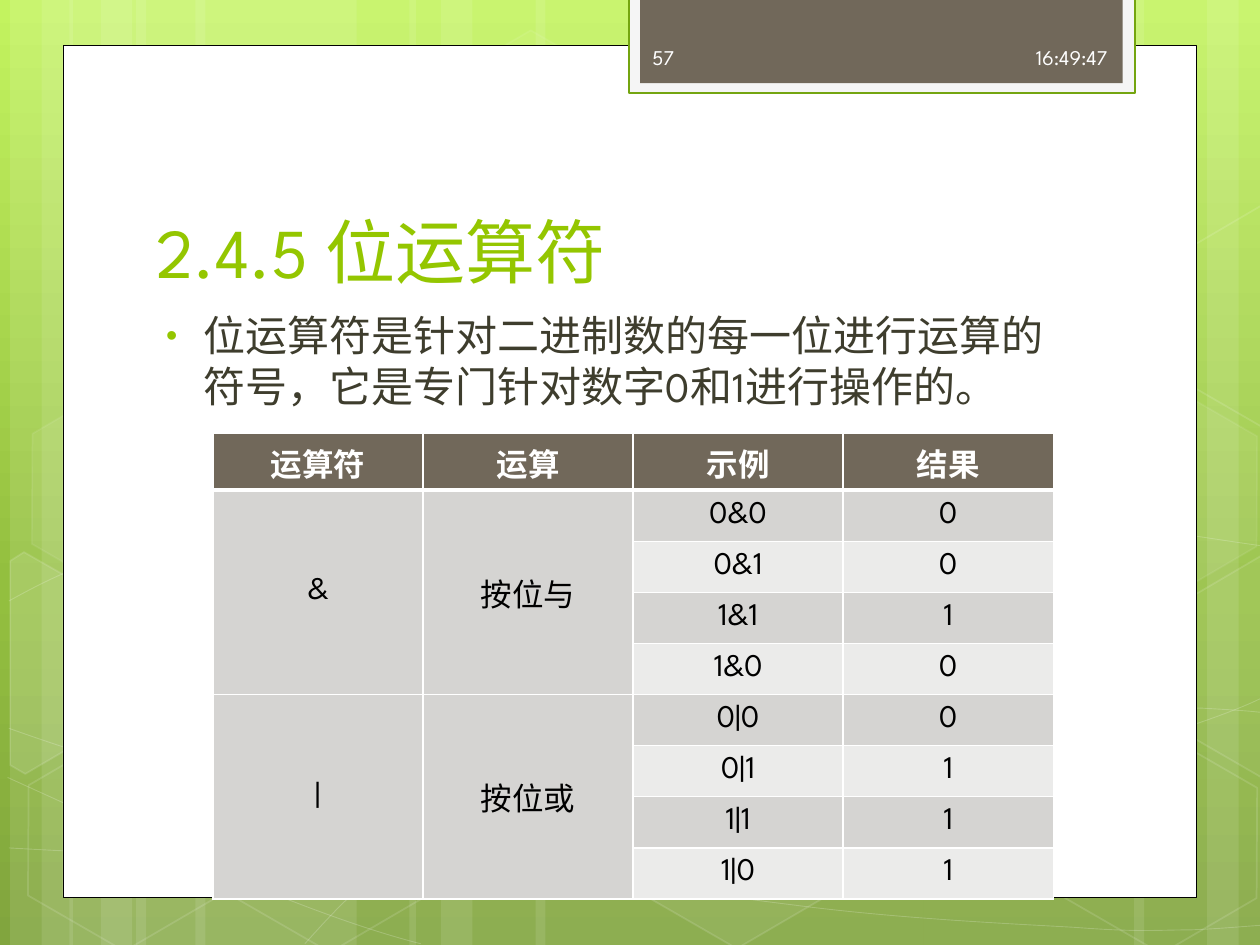
from copy import deepcopy
from math import cos, radians, sin
from lxml.etree import SubElement
from pptx import Presentation
from pptx.dml.color import RGBColor
from pptx.enum.shapes import MSO_SHAPE
from pptx.enum.text import MSO_ANCHOR, PP_ALIGN
from pptx.oxml import parse_xml
from pptx.oxml.ns import nsdecls, qn
from pptx.util import Inches, Pt

FONT = "League Spartan"
WHITE = RGBColor(0xFF, 0xFF, 0xFF)
BLACK = RGBColor(0, 0, 0)
LIME = RGBColor(0x94, 0xC6, 0x00)
OLIVE = RGBColor(0x3E, 0x3D, 0x2D)
TAUPE = RGBColor(0x71, 0x68, 0x5A)
TAB_FRAME = RGBColor(0xF5, 0xF5, 0xF5)
TAB_EDGE = RGBColor(0x74, 0xA5, 0x10)
TAB_TEXT = RGBColor(0xFE, 0xFE, 0xFE)
BANDS = RGBColor(0xD5, 0xD4, 0xD2), RGBColor(0xEB, 0xEB, 0xEA)
SKY = [(0, RGBColor(0xC3, 0xF3, 0x5F)), (0.62, RGBColor(0x93, 0xBF, 0x3F)),
       (1, RGBColor(0x81, 0xA5, 0x3E))]

TITLE = "2.4.5 位运算符"
INTRO = "位运算符是针对二进制数的每一位进行运算的符号，它是专门针对数字0和1进行操作的。"
CLOCK, PAGE = "16:49:47", "57"
HEADER = ["运算符", "运算", "示例", "结果"]
OPERATORS = [
    ("&", "按位与", [("0&0", "0"), ("0&1", "0"), ("1&1", "1"), ("1&0", "0")]),
    ("|", "按位或", [("0|0", "0"), ("0|1", "1"), ("1|1", "1"), ("1|0", "1")]),
]

STRIPES = [(1.08, 1.75, 0), (0.08, 0.5, 0), (0.33, 0.83, 0), (1.55, 1.75, 0),
           (0.55, 0.5, 0), (0.8, 0.83, 0), (7.33, 1.75, 180), (9.58, 0.5, 180),
           (9, 0.83, 180), (4.25, 3.08, 0), (3.25, 0.5, 0), (3.5, 0.83, 0)]
CURVES = [
    ([(0.07, 6.73), (0.61, 6.76), (1.15, 6.79), (1.9, 6.78), (2.65, 6.77), (3.58, 6.75),
      (4.58, 6.65), (5.58, 6.55), (7, 6.36), (7.92, 6.17), (8.83, 5.98), (9.77, 5.68),
      (10.07, 5.51)], None),
    ([(0.07, 4.77), (0.36, 4.61), (0.65, 4.46), (1.21, 4.31), (1.78, 4.16), (2.59, 3.94),
      (3.47, 3.87), (4.36, 3.8), (5.44, 3.79), (6.54, 3.87), (7.64, 3.95), (9.47, 4.26),
      (10.07, 4.34)], None),
    ([(0.06, 6.17), (1.27, 6.72), (2.47, 7.27), (3.34, 7.49)], None),
    ([(0.07, 5.78), (0.38, 5.89), (0.7, 6), (1.28, 6.16), (1.86, 6.31), (2.73, 6.56),
      (3.57, 6.73), (4.4, 6.9), (5.45, 7.08), (6.28, 7.18), (7.11, 7.29), (8, 7.33),
      (8.53, 7.36), (9.05, 7.4), (9.19, 7.38), (9.45, 7.38), (9.71, 7.37), (9.89, 7.35),
      (10.07, 7.34)], None),
    ([(2.42, 7.49), (2.6, 7.29), (2.78, 7.09), (3.02, 6.91), (3.26, 6.73), (3.6, 6.53),
      (3.88, 6.39), (4.16, 6.25), (4.33, 6.19), (4.7, 6.09), (5.06, 5.99), (5.73, 5.85),
      (6.08, 5.78), (6.44, 5.71), (6.49, 5.71), (6.8, 5.69), (7.11, 5.66), (7.6, 5.63),
      (7.94, 5.62), (8.29, 5.61), (8.86, 5.62), (8.86, 5.62), (9.53, 5.62), (9.71, 5.63),
      (9.88, 5.64), (9.97, 5.65), (10.06, 5.66), (10.03, 5.65), (10.06, 5.66)], 22),
]
HEXAGONS = [(3.34, 0.36, 4, 8), (4.97, 5.89, 6, 12), (0.11, 5.91, 0, 12), (0.14, 3.12, 7, 8),
            (1.74, 5.92, 0, 12), (7.53, 4.53, 10, 12), (8.34, 5.93, 0, 12), (8.34, 3.14, 7, 8)]
CUT_HEXAGONS = [
    ([(0.08, 4.45), (0.19, 4.38), (0.96, 4.82), (0.95, 5.7), (0.2, 6.14), (0.08, 6.07)],
     (0.36, 5.35), 10),
    ([(9.26, 4.85), (10.01, 4.41), (10.09, 4.46), (10.09, 6.13), (10.02, 6.17), (9.26, 5.73)],
     (9.85, 5.2), 4),
    ([(9.26, 2.07), (10.01, 1.63), (10.1, 1.68), (10.09, 3.35), (10.02, 3.39), (9.26, 2.95)],
     (9.85, 2.41), 0),
]
TILT = 30

prs = Presentation()
prs.slide_width, prs.slide_height = Inches(10), Inches(7.5)
slide = prs.slides.add_slide(prs.slide_layouts[6])
shapes = slide.shapes


def tint(fill, color, opacity):
    if not opacity:
        fill.background()
        return
    fill.solid()
    fill.fore_color.rgb = color
    if opacity < 100:
        solid = fill._xPr.find(qn("a:solidFill"))
        SubElement(solid[0], qn("a:alpha"), val=str(opacity * 1000))


def paint(shape, color, opacity=100, edge=WHITE, edge_opacity=0, width=1):
    shape.shadow.inherit = False
    tint(shape.fill, color, opacity)
    tint(shape.line.fill, edge, edge_opacity)
    if edge_opacity:
        shape.line.width = Pt(width)


def block(kind, left, top, width, height):
    return shapes.add_shape(kind, *map(Inches, (left, top, width, height)))


def outline(points, close):
    points = [(Inches(x), Inches(y)) for x, y in points]
    pen = shapes.build_freeform(*points[0])
    pen.add_line_segments(points[1:], close=close)
    return pen.convert_to_shape()


def curve(nodes, straight):
    shape = outline(nodes, False)
    steps = list(shape._element.iter(qn("a:lnTo")))
    if straight:
        del steps[straight - 1]
    for i in range(0, len(steps), 3):
        bend = parse_xml(f'<a:cubicBezTo {nsdecls("a")}/>')
        steps[i].addprevious(bend)
        for step in steps[i:i + 3]:
            bend.append(step[0])
            step.getparent().remove(step)
    return shape


def turn(point, center, degrees):
    x, y = point[0] - center[0], point[1] - center[1]
    c, s = cos(radians(degrees)), sin(radians(degrees))
    return center[0] + x * c - y * s, center[1] + x * s + y * c


def write(frame, text, size, color, align=PP_ALIGN.LEFT, bold=False):
    paragraph = frame.paragraphs[0]
    paragraph.text, paragraph.alignment = text, align
    font = paragraph.font
    font.name, font.size, font.bold, font.color.rgb = FONT, Pt(size), bold, color
    return paragraph


def label(box, text, size, color, anchor, align=PP_ALIGN.LEFT):
    frame = shapes.add_textbox(*map(Inches, box)).text_frame
    frame.word_wrap, frame.vertical_anchor = True, anchor
    return write(frame, text, size, color, align)


def fill_cell(row, column, text, color, text_color, bold=False, bottom=1):
    cell = table.cell(row, column)
    cell.fill.solid()
    cell.fill.fore_color.rgb = color
    cell.vertical_anchor = MSO_ANCHOR.MIDDLE
    if text:
        write(cell.text_frame, text, 18, text_color, PP_ALIGN.CENTER, bold)
    properties = cell._tc.get_or_add_tcPr()
    for i, (side, width) in enumerate(zip("LRTB", (1, 1, 3 if row == 1 else 1, bottom))):
        properties.insert(i, parse_xml(
            f'<a:ln{side} {nsdecls("a")} w="{Pt(width)}"><a:solidFill>'
            f'<a:srgbClr val="{WHITE}"/></a:solidFill></a:ln{side}>'))


sky = slide.background.fill
sky.gradient()
sky.gradient_angle = 270
first_stop = sky.gradient_stops[0]._gs
first_stop.addnext(deepcopy(first_stop))
for stop, (position, color) in zip(sky.gradient_stops, SKY):
    stop.position, stop.color.rgb = position, color

for left, width, rotation in STRIPES:
    stripe = block(MSO_SHAPE.RECTANGLE, left, 0, width, 7.5)
    stripe.rotation = rotation
    paint(stripe, WHITE, 10)
for nodes, straight in CURVES:
    paint(curve(nodes, straight), WHITE, 0, WHITE, 20, 0.5)
for left, top, opacity, edge_opacity in HEXAGONS:
    hexagon = block(MSO_SHAPE.HEXAGON, left, top, 1.75, 1.52)
    hexagon.adjustments[0], hexagon.rotation = 0.285, TILT
    paint(hexagon, WHITE, opacity, WHITE, edge_opacity)
for points, center, opacity in CUT_HEXAGONS:
    cut = outline([turn(point, center, -TILT) for point in points], True)
    cut.rotation = TILT
    paint(cut, WHITE, opacity, WHITE, 12)

paint(block(MSO_SHAPE.RECTANGLE, 0.5, 0.36, 9, 6.76), WHITE, 100, BLACK, 100, 0.5)
paint(block(MSO_SHAPE.RECTANGLE, 4.99, -0.02, 4.02, 0.76), TAB_FRAME, 100, TAB_EDGE, 100, 1.25)
paint(block(MSO_SHAPE.RECTANGLE, 5.08, -0.02, 3.83, 0.68), TAUPE)

label((1.14, 1.12, 7.68, 1.25), TITLE, 40, LIME, MSO_ANCHOR.BOTTOM)
intro = label((1.14, 2.41, 7.41, 3.84), INTRO, 24, OLIVE, MSO_ANCHOR.TOP)
intro.space_before = Pt(4.8)
bullet = intro._p.get_or_add_pPr()
bullet.set("marL", str(Inches(0.38)))
bullet.set("indent", str(Inches(-0.3)))
for tag, body in [("buClr", f'><a:srgbClr val="{LIME}"/></a:buClr>'), ("buSzPct", ' val="76000"/>'),
                  ("buFont", ' typeface="Arial"/>'), ("buChar", ' char="•"/>')]:
    bullet.find(qn("a:defRPr")).addprevious(parse_xml(f'<a:{tag} {nsdecls("a")}{body}'))
label((6.56, 0.25, 2.33, 0.4), CLOCK, 12, TAB_TEXT, MSO_ANCHOR.MIDDLE, PP_ALIGN.RIGHT)
label((5.08, 0.25, 1.46, 0.4), PAGE, 12, TAB_TEXT, MSO_ANCHOR.MIDDLE)

row_count = 1 + sum(len(examples) for _, _, examples in OPERATORS)
table = shapes.add_table(row_count, len(HEADER), *map(Inches, (1.69, 3.44, 6.67, 3.65))).table
table.rows[0].height = Inches(0.45)
for column, heading in enumerate(HEADER):
    fill_cell(0, column, heading, TAUPE, WHITE, True, 3)
row = 1
for symbol, operation, examples in OPERATORS:
    last = row + len(examples) - 1
    for offset, example in enumerate(examples):
        names = (symbol, operation) if offset == 0 else ("", "")
        for column, text in enumerate(names + example):
            fill_cell(row + offset, column, text, BANDS[offset % 2 if column > 1 else 0], BLACK)
    for column in (0, 1):
        table.cell(row, column).merge(table.cell(last, column))
    row = last + 1

prs.save("out.pptx")
